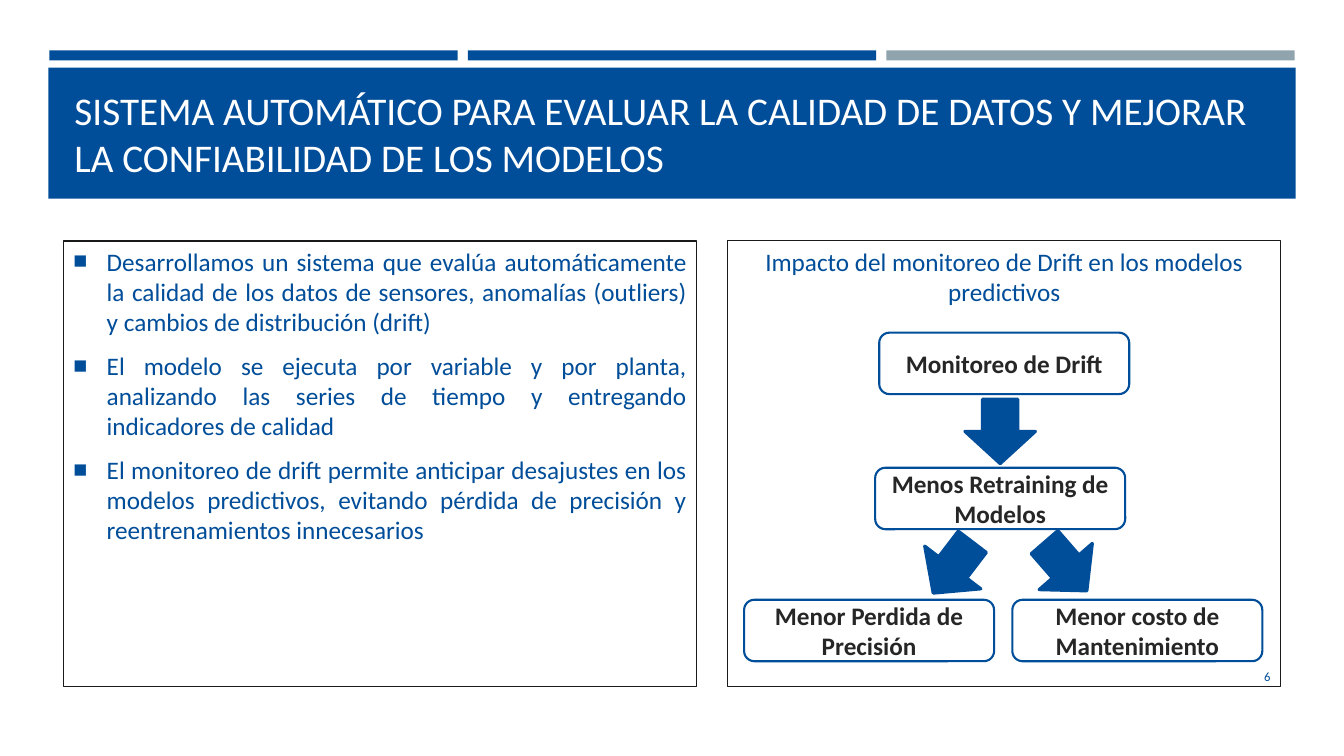
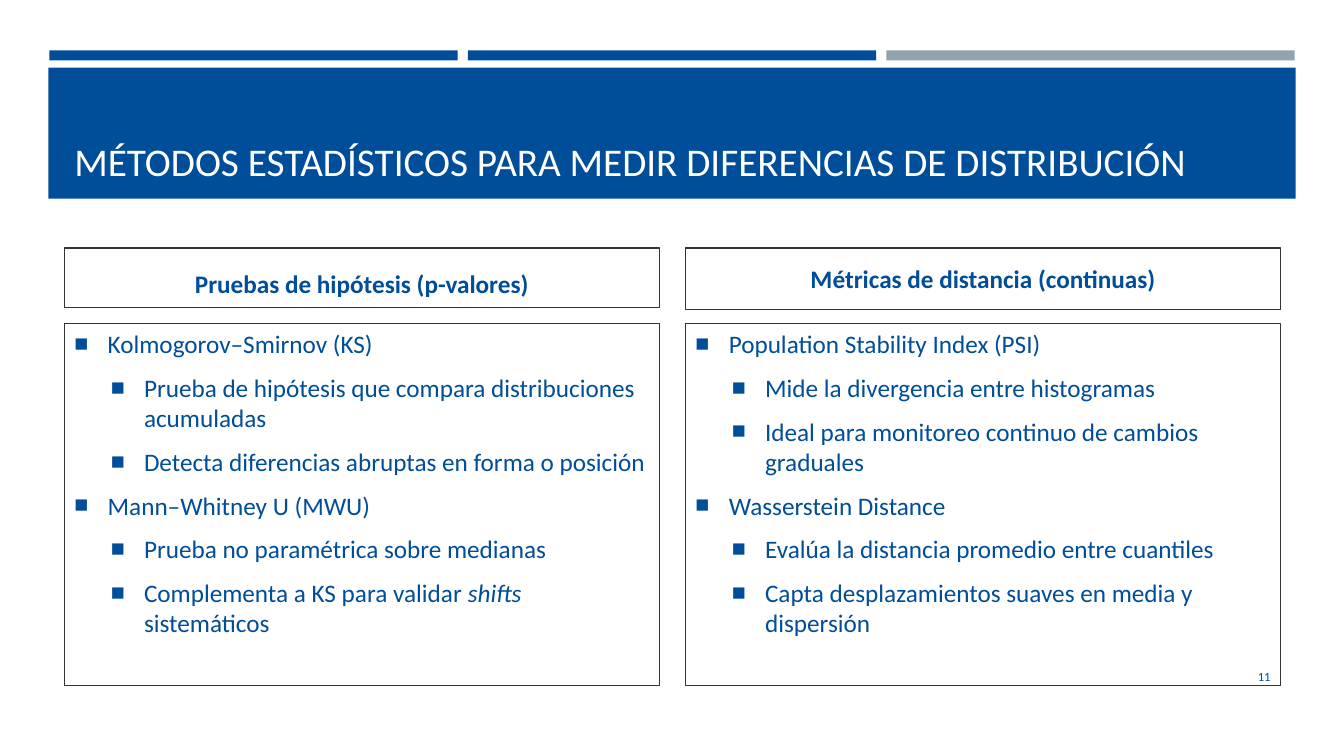
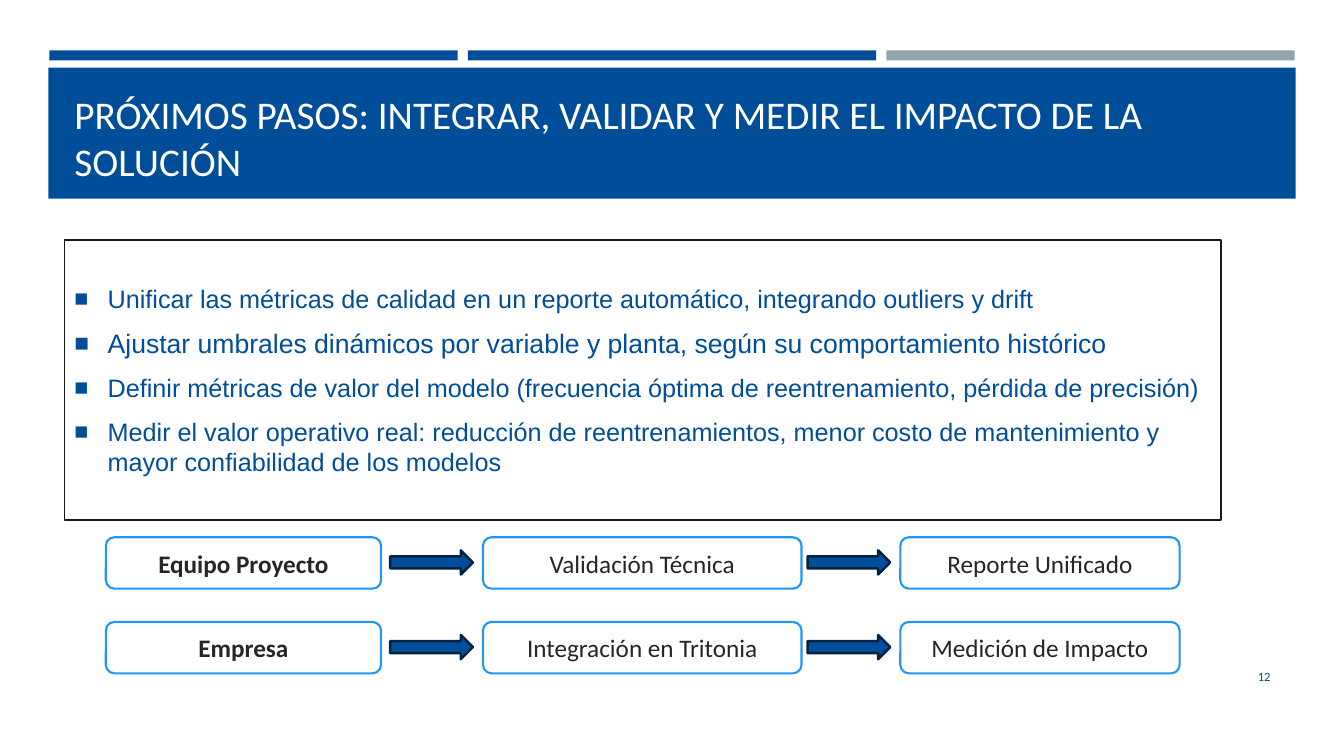
from collections import namedtuple

from lxml import etree
from pptx import Presentation
from pptx.dml.color import RGBColor
from pptx.enum.shapes import MSO_SHAPE
from pptx.enum.text import MSO_ANCHOR, PP_ALIGN
from pptx.oxml.ns import qn
from pptx.util import Inches, Pt

RECTANGLE = MSO_SHAPE.RECTANGLE
ROUNDED = MSO_SHAPE.ROUNDED_RECTANGLE
DOWN_ARROW = MSO_SHAPE.DOWN_ARROW
RIGHT_ARROW = MSO_SHAPE.RIGHT_ARROW
TOP, MIDDLE, BOTTOM = MSO_ANCHOR.TOP, MSO_ANCHOR.MIDDLE, MSO_ANCHOR.BOTTOM
LEFT, CENTER, RIGHT, JUSTIFY = PP_ALIGN.LEFT, PP_ALIGN.CENTER, PP_ALIGN.RIGHT, PP_ALIGN.JUSTIFY

BLUE = RGBColor(0x00, 0x4D, 0x99)
NAVY = RGBColor(0x00, 0x22, 0x43)
SKY = RGBColor(0x21, 0x96, 0xF3)
GRAY = RGBColor(0x90, 0xA4, 0xAE)
BLACK = RGBColor(0x1A, 0x1A, 0x1A)
CHARCOAL = RGBColor(0x33, 0x33, 0x33)
INK = RGBColor(0x26, 0x26, 0x26)
WHITE = RGBColor(0xFF, 0xFF, 0xFF)

Box = namedtuple("Box", "left top width height")
Item = namedtuple("Item", "runs level size", defaults=(0, 18))

TITLE_BAND = Box(0.48, 0.67, 12.37, 1.3)
PAGE_NUMBER = Box(11.55, 6.51, 1.15, 0.4)
HANGING = 0.33
LEVEL_STEP = 0.36


def inside(box, left, top, width, height):
    """Return a box placed relative to the corner of another one."""
    return Box(box.left + left, box.top + top, width, height)


def lengths(box):
    """Return the four lengths of a box."""
    return [Inches(value) for value in box]


def set_values(target, values):
    """Set attributes from a dict of format values."""
    for name, value in values.items():
        setattr(target, name, value)


def add_block(slide, kind, box, fill=None, line=None, width=1, rotation=0):
    """Add a preset shape with a plain fill and outline."""
    shape = slide.shapes.add_shape(kind, *lengths(box))
    shape.shadow.inherit = False
    shape.rotation = rotation
    for part, color in ((shape.fill, fill), (shape.line.fill, line)):
        if color is None:
            part.background()
        else:
            part.solid()
            part.fore_color.rgb = color
    if line is not None:
        shape.line.width = Pt(width)
    return shape


def add_bullet(paragraph, level):
    """Give a paragraph a square bullet with a hanging indent."""
    properties = paragraph._p.get_or_add_pPr()
    properties.set("marL", str(Inches(HANGING + LEVEL_STEP * level)))
    properties.set("indent", str(-Inches(HANGING)))
    color = etree.SubElement(properties, qn("a:buClr"))
    etree.SubElement(color, qn("a:srgbClr"), val=str(BLUE))
    etree.SubElement(properties, qn("a:buSzPct"), val="92000")
    etree.SubElement(properties, qn("a:buFont"), typeface="Arial")
    etree.SubElement(properties, qn("a:buChar"), char="■")


def write(shape, items, anchor=MIDDLE, align=CENTER, color=BLUE, font="Calibri",
          bold=False, bullets=False, line_spacing=None):
    """Write items in a shape; every second run of an item is italic."""
    frame = shape.text_frame
    set_values(frame, {"word_wrap": True, "vertical_anchor": anchor})
    for index, item in enumerate(items):
        paragraph = frame.paragraphs[0] if index == 0 else frame.add_paragraph()
        if bullets:
            add_bullet(paragraph, item.level)
        set_values(paragraph, {
            "alignment": align, "level": item.level, "line_spacing": line_spacing,
            "space_before": Pt(item.size * 0.2 if index else 0),
            "space_after": Pt(6 if bullets else 0)})
        for position, text in enumerate(item.runs):
            run = paragraph.add_run()
            run.text = text
            set_values(run.font, {"name": font, "size": Pt(item.size), "bold": bold,
                                  "italic": position % 2 == 1})
            run.font.color.rgb = color


def add_label(slide, box, text, line, bold=True):
    """Add a rounded box with a centred label."""
    shape = add_block(slide, ROUNDED, box, line=line, width=1.5)
    write(shape, [Item([text])], color=INK, bold=bold)


def add_list(slide, box, items, line=CHARCOAL, **style):
    """Add a framed bullet list."""
    settings = {"anchor": TOP, "align": LEFT, "bullets": True, **style}
    write(add_block(slide, RECTANGLE, box, line=line), items, **settings)


def add_frame(presentation, title, number, anchor=BOTTOM):
    """Add a slide with the bands, title and page number."""
    slide = presentation.slides.add_slide(presentation.slide_layouts[6])
    for index, color in enumerate((BLUE, BLUE, GRAY)):
        add_block(slide, RECTANGLE, Box(0.49 + 4.15 * index, 0.5, 4.05, 0.1), color)
    add_block(slide, RECTANGLE, TITLE_BAND, BLUE)
    title_box = slide.shapes.add_textbox(*lengths(inside(TITLE_BAND, 0.16, 0.1, 12.06, 1.11)))
    write(title_box, [Item([title], size=28)], anchor, LEFT, WHITE)
    number_box = slide.shapes.add_textbox(*lengths(PAGE_NUMBER))
    write(number_box, [Item([number], size=9)], align=RIGHT)
    return slide


def add_drift_diagram(slide, box):
    """Add the framed diagram of the effects of drift monitoring."""
    panel = add_block(slide, RECTANGLE, box, line=BLACK, width=0.75)
    write(panel, [Item(["Impacto del monitoreo de Drift en los modelos predictivos"])], TOP)
    for left, top, text in (
            (1.5, 0.91, "Monitoreo de Drift"),
            (1.46, 2.25, "Menos Retraining de Modelos"),
            (0.16, 3.56, "Menor Perdida de Precisión"),
            (2.82, 3.56, "Menor costo de Mantenimiento")):
        add_label(slide, inside(box, left, top, 2.48, 0.61), text, BLUE)
    for left, top, rotation in ((2.35, 1.57, 0), (1.88, 2.92, 37.3), (3, 2.91, 319)):
        add_block(slide, DOWN_ARROW, inside(box, left, top, 0.7, 0.64),
                  BLUE, BLUE, 2.25, rotation)


def add_process(slide, box):
    """Add two rows of three steps joined by arrows."""
    columns = ((0, 2.73), (3.74, 3.16), (7.88, 2.77))
    rows = (("Equipo Proyecto", "Validación Técnica", "Reporte Unificado"),
            ("Empresa", "Integración en Tritonia", "Medición de Impacto"))
    for row, texts in enumerate(rows):
        top = row * (box.height - 0.51)
        for column, ((left, width), text) in enumerate(zip(columns, texts)):
            add_label(slide, inside(box, left, top, width, 0.51), text, SKY, column == 0)
            if column:
                add_block(slide, RIGHT_ARROW, inside(box, left - 0.92, top + 0.13, 0.82, 0.24),
                          BLUE, NAVY, 1.75)


def build_system_slide(presentation):
    """Build the slide on the automatic quality system."""
    slide = add_frame(presentation, "SISTEMA AUTOMÁTICO PARA EVALUAR LA CALIDAD DE DATOS Y "
                      "MEJORAR LA CONFIABILIDAD DE LOS MODELOS", "6", MIDDLE)
    add_list(slide, Box(0.63, 2.39, 6.28, 4.42), [
        Item(["Desarrollamos un sistema que evalúa automáticamente la calidad de los datos "
              "de sensores, anomalías (outliers) y cambios de distribución (drift)"]),
        Item(["El modelo se ejecuta por variable y por planta, analizando las series de "
              "tiempo y entregando indicadores de calidad"]),
        Item(["El monitoreo de drift permite anticipar desajustes en los modelos "
              "predictivos, evitando pérdida de precisión y reentrenamientos innecesarios"]),
    ], BLACK, align=JUSTIFY)
    add_drift_diagram(slide, Box(7.22, 2.39, 5.48, 4.42))


def add_method_column(slide, box, heading, items, header_height, **style):
    """Add a heading box with a bullet list below it."""
    header = add_block(slide, RECTANGLE, inside(box, 0, 0, box.width, header_height),
                       line=CHARCOAL)
    write(header, [Item([heading])], bold=True, **style)
    add_list(slide, inside(box, 0, 0.75, box.width, box.height - 0.75), items)


def build_methods_slide(presentation):
    """Build the slide comparing statistical methods."""
    slide = add_frame(presentation,
                      "MÉTODOS ESTADÍSTICOS PARA MEDIR DIFERENCIAS DE DISTRIBUCIÓN", "11")
    add_method_column(slide, Box(0.64, 2.46, 5.9, 4.34), "Pruebas de hipótesis (p-valores)", [
        Item(["Kolmogorov–Smirnov (KS)"]),
        Item(["Prueba de hipótesis que compara distribuciones acumuladas"], 1),
        Item(["Detecta diferencias abruptas en forma o posición"], 1),
        Item(["Mann–Whitney U (MWU)"]),
        Item(["Prueba no paramétrica sobre medianas"], 1),
        Item(["Complementa a KS para validar ", "shifts", " sistemáticos"], 1),
    ], 0.59, anchor=TOP, line_spacing=1.5)
    add_method_column(slide, Box(6.8, 2.46, 5.9, 4.34), "Métricas de distancia (continuas)", [
        Item(["Population Stability Index (PSI)"]),
        Item(["Mide la divergencia entre histogramas"], 1),
        Item(["Ideal para monitoreo continuo de cambios graduales"], 1),
        Item(["Wasserstein Distance"]),
        Item(["Evalúa la distancia promedio entre cuantiles"], 1),
        Item(["Capta desplazamientos suaves en media y dispersión"], 1),
    ], 0.61)


def build_next_steps_slide(presentation):
    """Build the slide on the next steps."""
    slide = add_frame(presentation, "PRÓXIMOS PASOS: INTEGRAR, VALIDAR Y MEDIR EL IMPACTO "
                      "DE LA SOLUCIÓN", "12")
    add_list(slide, Box(0.64, 2.38, 11.47, 2.78), [
        Item(["Unificar las métricas de calidad en un reporte automático, integrando "
              "outliers y drift"]),
        Item(["Ajustar umbrales dinámicos por variable y planta, según su comportamiento "
              "histórico"], size=19),
        Item(["Definir métricas de valor del modelo (frecuencia óptima de reentrenamiento, "
              "pérdida de precisión)"]),
        Item(["Medir el valor operativo real: reducción de reentrenamientos, menor costo de "
              "mantenimiento y mayor confiabilidad de los modelos"]),
    ], BLACK, anchor=MIDDLE, font="Arial")
    add_process(slide, Box(1.05, 5.33, 10.65, 1.35))


def main():
    """Build and save the presentation."""
    presentation = Presentation()
    set_values(presentation, {"slide_width": Inches(13.33), "slide_height": Inches(7.5)})
    build_system_slide(presentation)
    build_methods_slide(presentation)
    build_next_steps_slide(presentation)
    presentation.save("out.pptx")


if __name__ == "__main__":
    main()
